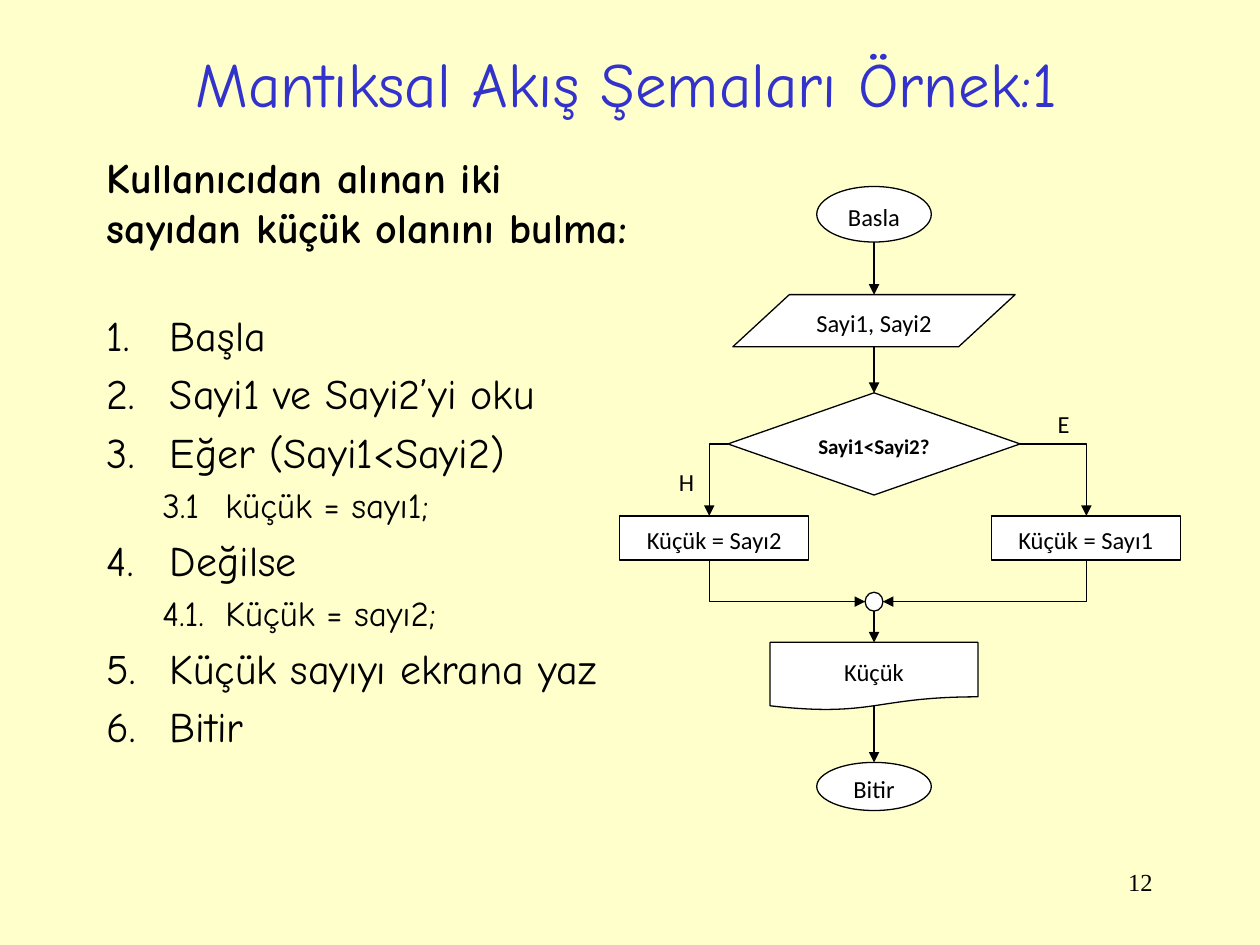
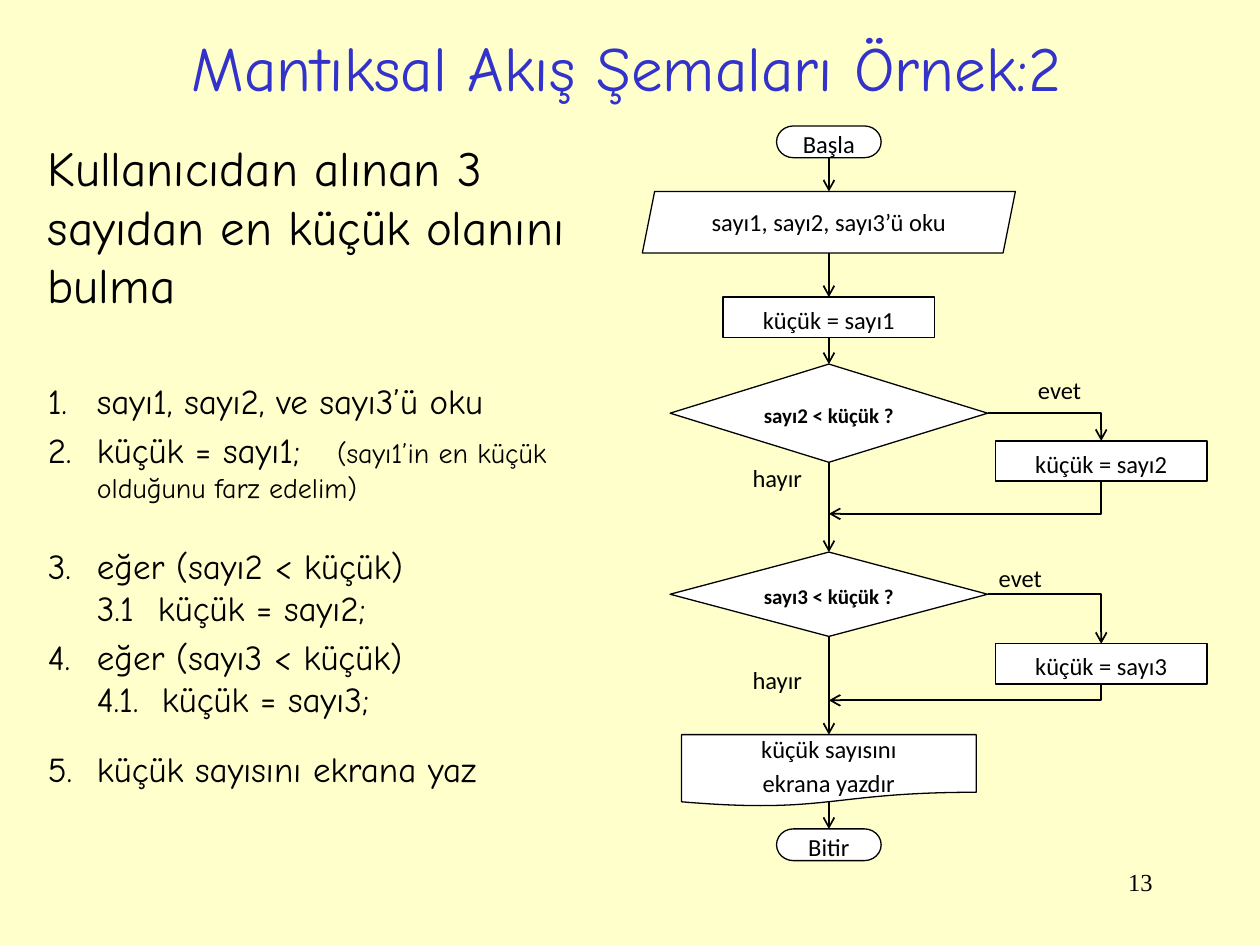
from lxml import etree
from pptx import Presentation
from pptx.dml.color import RGBColor
from pptx.enum import shapes, text
from pptx.oxml import ns
from pptx.util import Cm, Pt

COLORS = {"paper": "FFFFCC", "title": "3333CC", "ink": "000000", "box": "FFFFFF"}
HAND, PLAIN, SERIF = "Comic Neue", "Calibri", "Times New Roman"
KIND = shapes.MSO_SHAPE
CENTER, RIGHT = text.PP_ALIGN.CENTER, text.PP_ALIGN.RIGHT


def rgb(name):
    return RGBColor.from_string(COLORS[name])


def child(parent, tag, **attributes):
    return etree.SubElement(parent, ns.qn(tag), attributes)


def write(paragraph, content, size=14, font=PLAIN, color="ink", bold=False,
          align=None, before=0, after=0, spacing=1.0):
    """Add text to a paragraph; each newline becomes a line break."""
    paragraph.alignment = align
    paragraph.space_before, paragraph.space_after = Pt(before), Pt(after)
    paragraph.line_spacing = spacing
    for number, line in enumerate(content.split("\n")):
        if number:
            paragraph.add_line_break()
        run = paragraph.add_run()
        run.text = line
        run.font.size, run.font.name, run.font.bold = Pt(size), font, bold
        run.font.color.rgb = rgb(color)


def indent(paragraph, left=0, hanging=0, numbered=False, tab=None):
    """Set the indents, the numbering and one tab stop (cm)."""
    props = paragraph._p.get_or_add_pPr()
    props.set("marL", str(Cm(left)))
    props.set("indent", str(-Cm(hanging)))
    if numbered:
        child(props, "a:buFont", typeface="+mj-lt")
        child(props, "a:buAutoNum", type="arabicPeriod")
    else:
        child(props, "a:buNone")
    if tab:
        child(child(props, "a:tabLst"), "a:tab", pos=str(Cm(tab)), algn="l")


class Deck:
    """Holds the shared style and the current slide; lengths are in cm."""

    def __init__(self):
        self.prs = Presentation()
        self.prs.slide_width, self.prs.slide_height = Cm(25.4), Cm(19.05)
        background = self.prs.slide_master.background.fill
        background.solid()
        background.fore_color.rgb = rgb("paper")

    def new_slide(self, title, title_height, number, head, tail, weight):
        self.slide = self.prs.slides.add_slide(self.prs.slide_layouts[1])
        self.arrowhead, self.weight = tail, weight
        self.head_size = head
        heading = self.slide.shapes.title
        frame = self.place(heading, 1.83, 0.38, 21.59, title_height)
        frame.vertical_anchor = text.MSO_ANCHOR.MIDDLE
        write(frame.paragraphs[0], title, size=36, font=HAND, color="title", align=CENTER)
        page = self.slide.shapes.add_textbox(0, 0, 0, 0)
        frame = self.place(page, 18.21, 17.35, 5.28, 1.27)
        write(frame.paragraphs[0], number, font=SERIF, align=RIGHT)

    def place(self, shape, left, top, width, height):
        shape.left, shape.top = Cm(left), Cm(top)
        shape.width, shape.height = Cm(width), Cm(height)
        frame = shape.text_frame
        frame.word_wrap = True
        frame.auto_size = text.MSO_AUTO_SIZE.NONE
        return frame

    def steps(self, box, heading, bold, items):
        """Heading and steps; an item is (text, size, gap above, indents, note)."""
        frame = self.place(self.slide.placeholders[1], *box)
        frame.vertical_anchor = text.MSO_ANCHOR.TOP
        first = frame.paragraphs[0]
        write(first, heading, size=self.head_size, font=HAND, bold=bold,
              before=self.head_size / 5)
        indent(first)
        for content, size, gap, layout, note in items:
            step = frame.add_paragraph()
            step.level = 0 if layout.get("numbered") else 1
            write(step, content, size=size, font=HAND, before=size / 5 + gap,
                  spacing=layout.get("spacing", 1.0))
            if note:
                run = step.add_run()
                run.text = note
                run.font.size, run.font.name = Pt(16), HAND
                run.font.color.rgb = rgb("ink")
            indent(step, **{k: v for k, v in layout.items() if k != "spacing"})

    def caption(self, frame, content, **style):
        frame.vertical_anchor = text.MSO_ANCHOR.MIDDLE
        style = {"align": CENTER, "after": 10, "spacing": 1.15, **style}
        for number, line in enumerate(content.split("\n")):
            write(frame.add_paragraph() if number else frame.paragraphs[0], line, **style)

    def node(self, kind, content, center, top, width, height, **style):
        shape = self.slide.shapes.add_shape(kind, 0, 0, 0, 0)
        frame = self.place(shape, center - width / 2, top, width, height)
        frame.margin_left = frame.margin_right = 0
        shape.shadow.inherit = False
        shape.fill.solid()
        shape.fill.fore_color.rgb = rgb("box")
        shape.line.color.rgb, shape.line.width = rgb("ink"), Pt(0.75)
        if content:
            self.caption(frame, content, **style)
        return shape

    def label(self, content, center, top):
        branch = self.slide.shapes.add_textbox(0, 0, 0, 0)
        self.caption(self.place(branch, center - 0.94, top, 1.88, 0.94), content)

    def line(self, kind, start, end, arrow_at):
        """Draw a connector; arrow_at is a:headEnd or a:tailEnd."""
        link = self.slide.shapes.add_connector(kind, *map(Cm, start + end))
        link.line.color.rgb, link.line.width = rgb("ink"), Pt(self.weight)
        child(link.line._get_or_add_ln(), arrow_at, type=self.arrowhead)
        child(link._element.spPr, "a:effectLst")
        return link

    def down(self, upper, lower, lift=0):
        """Arrow from one node to the next one below it."""
        x = (lower.left + lower.width / 2) / Cm(1)
        bottom = (upper.top + upper.height) / Cm(1) - lift
        self.line(shapes.MSO_CONNECTOR.STRAIGHT, (x, bottom), (x, lower.top / Cm(1)),
                  "a:tailEnd")

    def corner(self, start, end, arrow_at="a:tailEnd"):
        """One right angle, horizontal first."""
        link = self.line(shapes.MSO_CONNECTOR.ELBOW, start, end, arrow_at)
        link._element.spPr.find(ns.qn("a:prstGeom")).set("prst", "bentConnector2")

    def merge(self, source, target):
        """One right angle, vertical first: drawn from the arrow tip back."""
        self.corner(target, source, "a:headEnd")


deck = Deck()

# Slide 1: smaller of two numbers
deck.new_slide("Mantıksal Akış Şemaları Örnek:1", 2.54, "12", 24, "triangle", 0.75)
main = {"left": 1.27, "hanging": 1.27, "numbered": True}
deck.steps((1.9, 2.92, 11.2, 14.02),
           "Kullanıcıdan alınan iki sayıdan küçük olanını bulma:", True, [
    ("Başla", 24, 27.8, main, None),
    ("Sayi1 ve Sayi2’yi oku", 24, 0, main, None),
    ("Eğer (Sayi1<Sayi2)", 24, 0, main, None),
    ("3.1\tküçük = sayı1;", 20, 0, {"left": 1.12, "tab": 2.58}, None),
    ("Değilse", 24, 0, main, None),
    ("4.1.\tKüçük = sayı2;", 20, 0, {"left": 1.12, "tab": 2.44}, None),
    ("Küçük sayıyı ekrana yaz", 24, 0, main, None),
    ("Bitir", 24, 0, main, None),
])

axis, no_x, yes_x = 17.62, 14.4, 21.89
begin = deck.node(KIND.FLOWCHART_CONNECTOR, "Basla", axis, 3.76, 2.31, 1.12)
read = deck.node(KIND.FLOWCHART_DATA, "Sayi1, Sayi2", axis, 5.94, 5.69, 1.05)
compare = deck.node(KIND.FLOWCHART_DECISION, "Sayi1<Sayi2?", axis, 7.92, 5.89, 2.06,
                    size=12, bold=True)
for content, x in (("Küçük = Sayı2", no_x), ("Küçük = Sayı1", yes_x)):
    deck.node(KIND.RECTANGLE, content, x, 10.4, 3.81, 0.89)
join = deck.node(KIND.OVAL, "", axis, 11.94, 0.36, 0.38)
output = deck.node(KIND.FLOWCHART_DOCUMENT, "Küçük", axis, 12.95, 4.19, 1.37)
finish = deck.node(KIND.FLOWCHART_CONNECTOR, "Bitir", axis, 15.37, 2.31, 0.97)
for upper, lower in ((begin, read), (read, compare), (join, output)):
    deck.down(upper, lower)
deck.down(output, finish, lift=0.1)
for edge, x, side in ((14.68, 14.3, -0.18), (20.57, 21.9, 0.18)):
    deck.corner((edge, 8.95), (x, 10.4))
    deck.merge((x, 11.29), (axis + side, 12.13))
deck.label("E", 21.44, 8.03)
deck.label("H", 13.84, 9.19)

# Slide 2: smallest of three numbers
deck.new_slide("Mantıksal Akış Şemaları Örnek:2", 1.93, "13", 28, "arrow", 1)
main = {"left": 0.99, "hanging": 0.99, "numbered": True}
deck.steps((0.71, 2.64, 11.81, 14.3),
           "Kullanıcıdan alınan 3 sayıdan en küçük olanını bulma", False, [
    ("sayı1, sayı2, ve sayı3’ü oku", 20, 33.4, main, None),
    ("küçük = sayı1;\t", 20, 0, {**main, "tab": 5.83},
     "(sayı1’in en küçük olduğunu farz edelim)"),
    ("eğer (sayı2 < küçük)\n3.1\tküçük = sayı2;", 20, 19.5, {**main, "tab": 2.22}, None),
    ("eğer (sayı3 < küçük)\n4.1.\tküçük = sayı3;", 20, 0, {**main, "tab": 2.3}, None),
    ("küçük sayısını ekrana yaz", 20, 14.6, {**main, "spacing": 0.9}, None),
])

axis, side_x = 16.71, 22.2
begin = deck.node(KIND.FLOWCHART_TERMINATOR, "Başla", axis, 2.54, 2.11, 0.64)
read = deck.node(KIND.PARALLELOGRAM, "sayı1, sayı2, sayı3’ü oku", axis, 3.86, 7.52, 1.24,
                 after=6, spacing=1.0)
read.adjustments[0] = 0.2
assign = deck.node(KIND.RECTANGLE, "küçük = sayı1", axis, 5.99, 4.27, 0.81)
tests = []
for number, top, height, box_top, join_y, yes_x, no_y in (
        (2, 7.34, 1.98, 8.89, 10.36, 21.36, 9.12),
        (3, 11.13, 1.7, 12.98, 14.12, 20.57, 13.18)):
    tests.append(deck.node(KIND.FLOWCHART_DECISION, f"sayı{number} < küçük ?", axis, top,
                           6.4, height, size=12, bold=True))
    deck.node(KIND.RECTANGLE, f"küçük = sayı{number}", side_x, box_top, 4.27, 0.81)
    deck.corner((axis + 3.2, top + height / 2), (side_x, box_top))
    deck.merge((side_x, box_top + 0.81), (axis, join_y))
    deck.label("evet", yes_x, top)
    deck.label("hayır", 15.67, no_y)
output = deck.node(KIND.FLOWCHART_DOCUMENT, "küçük sayısını\nekrana yazdır", axis, 14.81,
                   5.94, 1.45, after=0)
finish = deck.node(KIND.FLOWCHART_TERMINATOR, "Bitir", axis, 16.71, 2.11, 0.64)
chain = [begin, read, assign, *tests, output]
for upper, lower in zip(chain, chain[1:]):
    deck.down(upper, lower)
deck.down(output, finish, lift=0.1)

deck.prs.save("out.pptx")
